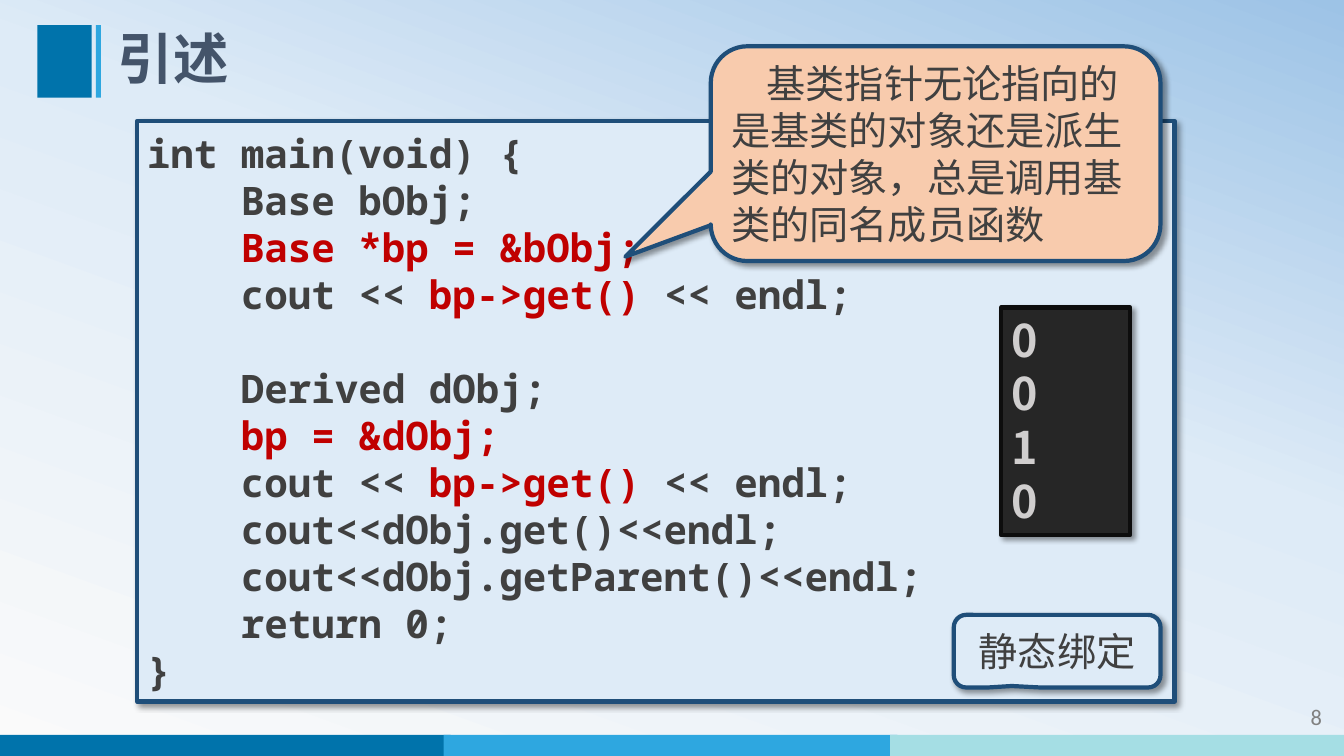
from pptx import Presentation
from pptx import util as u
from pptx.dml.color import RGBColor
from pptx.enum import shapes, text
from pptx.oxml import parse_xml
from pptx.oxml.ns import nsdecls, qn

PX = 9144
COLORS = {
    "deep": "0073AB", "sky": "2EA7E0", "mint": "A5DEE4", "title": "44546A",
    "page": "808080", "panel": "DEEBF7", "border": "1F4E79", "ink": "404040",
    "red": "C00000", "console": "262626", "console_edge": "0D0D0D",
    "output": "D0CECE", "peach": "F8CBAD", "shadow": "000000",
    "pale": "FAFAFA", "blue": "9DC3E6",
}
CJK, MONO = "Noto Sans CJK SC", "Noto Sans Mono"
SHAPE = shapes.MSO_SHAPE
ALIGN, ANCHOR = text.PP_ALIGN, text.MSO_ANCHOR

CODE = """int main(void) {
    Base bObj;
    |Base *bp = &bObj;
    cout << |bp->get() |<< endl;

    Derived dObj;
    |bp = &dObj;
    cout << |bp->get() |<< endl;
    cout<<dObj.get()<<endl;
    cout<<dObj.getParent()<<endl;
    return 0;
}"""


def rgb(name):
    return RGBColor.from_string(COLORS[name])


def place(sp, box):
    sp.left, sp.top, sp.width, sp.height = (n * PX for n in box)


def add_text(p, words, size, color, font=CJK, bold=False):
    r = p.add_run()
    r.text = words
    r.font.size, r.font.bold, r.font.name = u.Pt(size), bold, font
    r.font.color.rgb = rgb(color)
    r.font._element.find(qn("a:latin")).addnext(
        parse_xml(f'<a:ea {nsdecls("a")} typeface="{font}"/>'))
    return r


def add_block(s, box, fill, kind=SHAPE.RECTANGLE, line=None, adj=()):
    sp = s.shapes.add_shape(kind, *(n * PX for n in box))
    sp.shadow.inherit = False
    sp.fill.solid()
    sp.fill.fore_color.rgb = rgb(fill)
    for i, value in enumerate(adj):
        sp.adjustments[i] = value
    if line is None:
        sp.line.fill.background()
        return sp
    sp.line.color.rgb = rgb(line)
    sp.line.width = u.Pt(3)
    sp._element.spPr.find(qn("a:effectLst")).append(parse_xml(
        f'<a:outerShdw {nsdecls("a")} blurRad="50800" dist="38100" dir="2700000" '
        f'algn="tl" rotWithShape="0"><a:srgbClr val="{COLORS["shadow"]}">'
        '<a:alpha val="40000"/></a:srgbClr></a:outerShdw>'))
    return sp


def set_frame(sp, anchor):
    tf = sp.text_frame
    tf.word_wrap = True
    tf.vertical_anchor = anchor
    return tf


def add_line(tf, first, size, align=ALIGN.LEFT):
    p = tf.paragraphs[0] if first else tf.add_paragraph()
    p.alignment = align
    p.line_spacing = u.Pt(size * 1.2)
    return p


def add_background(s):
    fill = s.background.fill
    fill.gradient()
    fill.gradient_angle = 70
    stops = "".join(
        f'<a:gs pos="{pos * 1000}"><a:srgbClr val="{COLORS[name]}"/></a:gs>'
        for pos, name in ((0, "pale"), (58, "panel"), (100, "blue")))
    old = next(s._element.iter(qn("a:gsLst")))
    old.getparent().replace(
        old, parse_xml(f'<a:gsLst {nsdecls("a")}>{stops}</a:gsLst>'))


def add_footer(s, box):
    x, y, w, h = box
    for left, color in ((-3, "deep"), (440, "sky"), (883, "mint")):
        add_block(s, (x + left, y, 450, h), color)
    sp = s.shapes.add_textbox(*(n * PX for n in (x + w - 171, y - 38, 159, 40)))
    p = set_frame(sp, ANCHOR.MIDDLE).paragraphs[0]
    p.alignment = ALIGN.RIGHT
    add_text(p, "8", 16, "page", font="Calibri")


def add_title(s, box):
    x, y, w, h = box
    add_block(s, (x, y, 54, h), "deep")
    add_block(s, (x + 58, y, 5, h), "sky")
    sp = s.shapes.title
    place(sp, (x + 70, y, w - 70, h))
    p = set_frame(sp, ANCHOR.MIDDLE).paragraphs[0]
    p.alignment = ALIGN.LEFT
    p.line_spacing = 0.9
    add_text(p, "引述", 39.6, "title", bold=True)


def add_code(s, box):
    sp = add_block(s, box, "panel", line="border")
    tf = set_frame(sp, ANCHOR.TOP)
    tf.margin_top = 8 * PX
    gap = False
    for i, row in enumerate(CODE.split("\n")):
        if not row:
            gap = True
            continue
        p = add_line(tf, i == 0, 28)
        if gap:
            p.space_before = u.Pt(33.6)
            gap = False
        for j, part in enumerate(row.split("|")):
            add_text(p, part, 28, "red" if j % 2 else "ink", font=MONO, bold=True)


def add_console(s, box):
    sp = add_block(s, box, "console", line="console_edge")
    tf = set_frame(sp, ANCHOR.TOP)
    for i, digit in enumerate("0010"):
        add_text(add_line(tf, i == 0, 32), digit, 32, "output", bold=True)


def add_callout(s, box, words, fill, adj, align=ALIGN.LEFT, indent=0):
    sp = add_block(s, box, fill, SHAPE.ROUNDED_RECTANGULAR_CALLOUT, "border", adj)
    p = add_line(set_frame(sp, ANCHOR.MIDDLE), True, 28, align)
    if indent:
        p._p.get_or_add_pPr().set("indent", str(indent * PX))
    add_text(p, words, 28, "ink")


def main():
    prs = Presentation()
    prs.slide_width, prs.slide_height = 1333 * PX, 750 * PX
    s = prs.slides.add_slide(prs.slide_layouts[5])
    add_background(s)
    add_footer(s, (0, 729, 1333, 21))
    add_title(s, (37, 25, 1156, 72))
    add_code(s, (136, 120, 1029, 576))
    add_console(s, (993, 305, 128, 226))
    add_callout(s, (705, 46, 446, 213),
                "基类指针无论指向的是基类的对象还是派生类的对象，总是调用基类的同名成员函数",
                "peach", (-0.69, 0.48, 0.17), indent=35)
    add_callout(s, (946, 610, 205, 72), "静态绑定", "panel",
                (-0.22, 0.48, 0.17), align=ALIGN.CENTER)
    prs.save("out.pptx")


if __name__ == "__main__":
    main()
